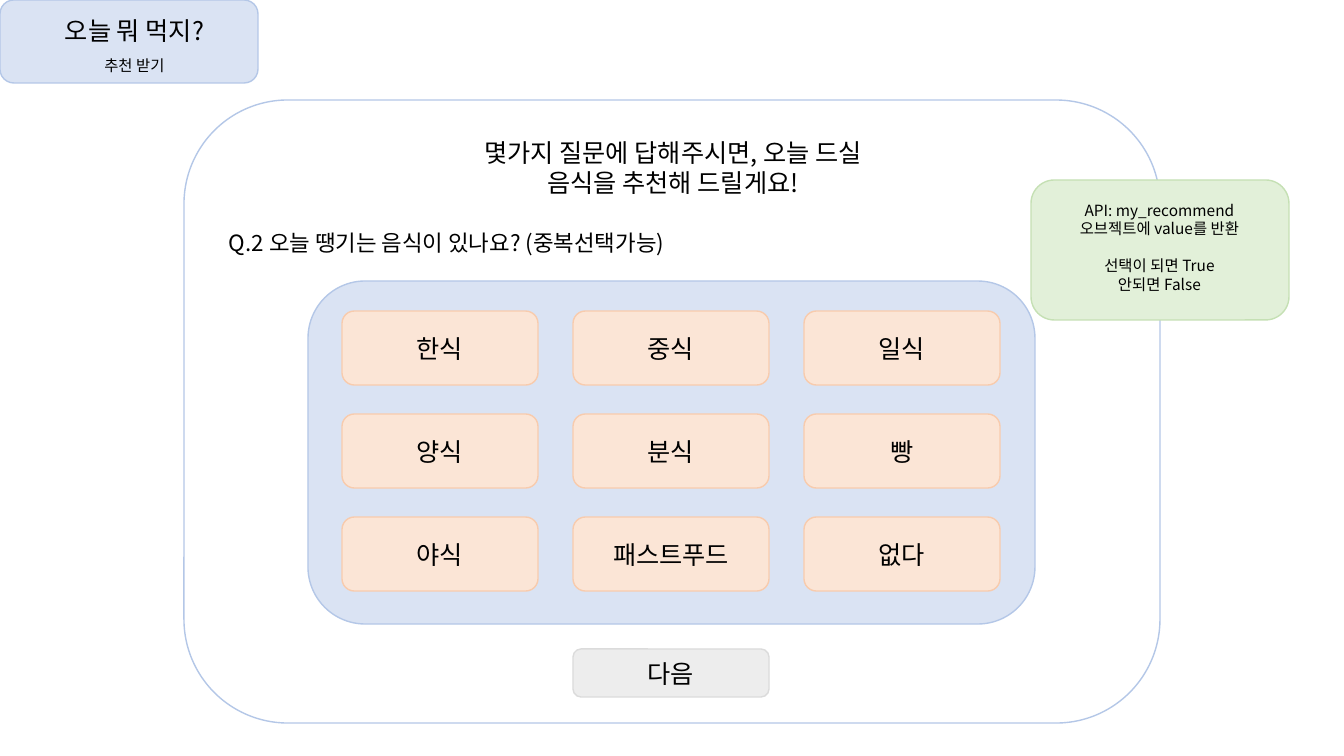
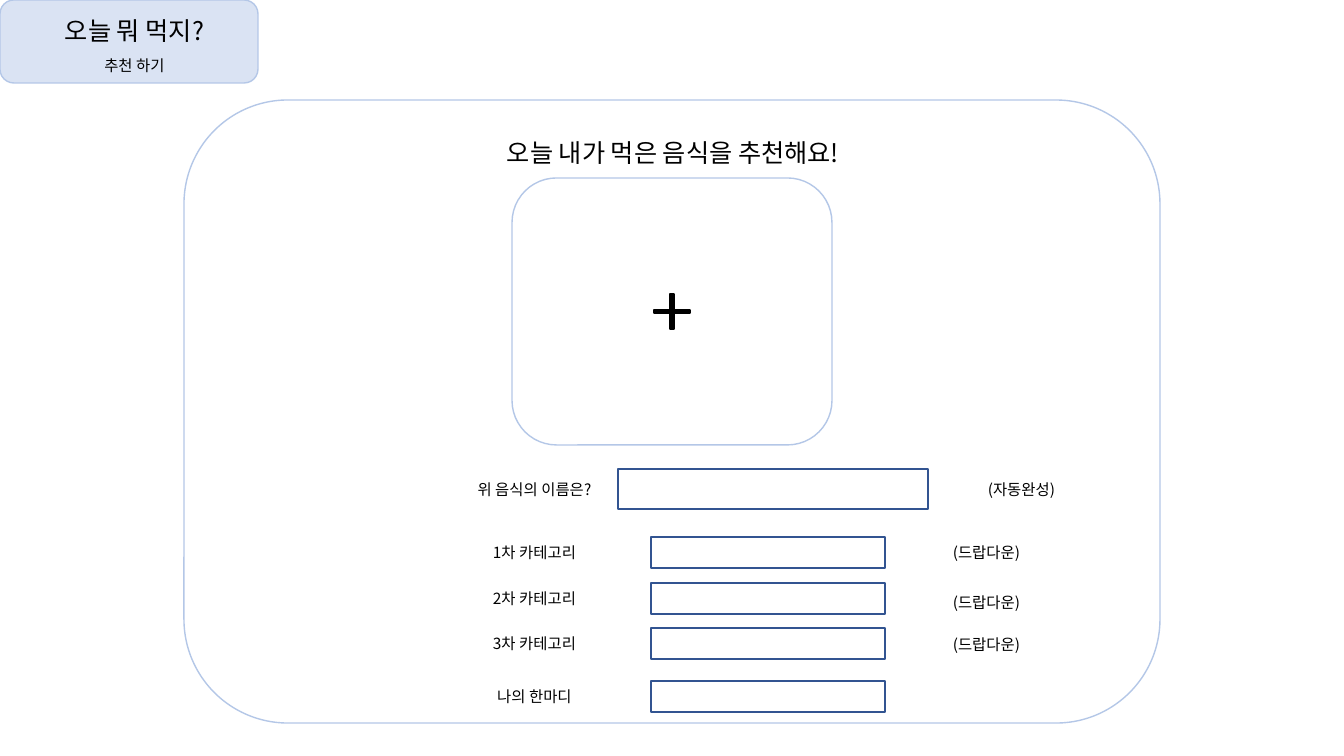
from pptx import Presentation
from pptx.dml.color import RGBColor
from pptx.enum.shapes import MSO_SHAPE
from pptx.enum.text import MSO_ANCHOR, PP_ALIGN
from pptx.util import Pt
from lxml import etree

ROUND, RECT, PLUS = MSO_SHAPE.ROUNDED_RECTANGLE, MSO_SHAPE.RECTANGLE, MSO_SHAPE.CROSS
LEFT, CENTER = PP_ALIGN.LEFT, PP_ALIGN.CENTER
MIDDLE, TOP = MSO_ANCHOR.MIDDLE, MSO_ANCHOR.TOP
FONT = "Noto Sans CJK KR"
DRAWING = "http://schemas.openxmlformats.org/drawingml/2006/main"
EMU_PER_PIXEL = 914400 / 100.8

BLACK, WHITE = "000000", "FFFFFF"
BLUE, BLUE_LINE = "DAE3F3", "B4C7E7"
PEACH, PEACH_LINE = "FBE5D6", "F8CBAD"
GRAY, GRAY_LINE = "EDEDED", "DBDBDB"
GREEN, GREEN_LINE = "E2F0D9", "C5E0B4"
FIELD_LINE = "325491"


def draw(slide, kind, box, fill=WHITE, line=BLUE_LINE):
    """Add a preset shape at a pixel box, or a text box when kind is None."""
    lengths = [round(value * EMU_PER_PIXEL) for value in box]
    if kind is None:
        return slide.shapes.add_textbox(*lengths)
    shape = slide.shapes.add_shape(kind, *lengths)
    shape.shadow.inherit = False
    shape.fill.solid()
    shape.fill.fore_color.rgb = RGBColor.from_string(fill)
    shape.line.color.rgb = RGBColor.from_string(line)
    shape.line.width = Pt(1)
    return shape


def write(shape, text, size=11, align=CENTER, anchor=TOP, gap_before=None):
    """Fill a shape with one paragraph per line; gap_before is a line index."""
    frame = shape.text_frame
    frame.word_wrap = True
    frame.vertical_anchor = anchor
    for index, line in enumerate(text.split("\n")):
        paragraph = frame.add_paragraph() if index else frame.paragraphs[0]
        paragraph.alignment = align
        paragraph.line_spacing = Pt(size * 1.2)
        if index == gap_before:
            paragraph.space_before = Pt(size * 1.2)
        run = paragraph.add_run()
        run.text = line
        run.font.size = Pt(size)
        run.font.name = FONT
        run.font.color.rgb = RGBColor.from_string(BLACK)
        east_asian = etree.SubElement(run.font._element, f"{{{DRAWING}}}ea")
        east_asian.set("typeface", FONT)


presentation = Presentation()
presentation.slide_width = round(1344 * EMU_PER_PIXEL)
presentation.slide_height = round(756 * EMU_PER_PIXEL)

# Shared frame: title tab, main panel and heading
pages = [
    ("추천 받기", "몇가지 질문에 답해주시면, 오늘 드실 음식을 추천해 드릴게요!", 72),
    ("추천 하기", "오늘 내가 먹은 음식을 추천해요!", 40),
]
slides = []
for subtitle, heading, heading_height in pages:
    slide = presentation.slides.add_slide(presentation.slide_layouts[6])
    draw(slide, ROUND, (0, 0, 258, 83), BLUE)
    write(draw(slide, None, (41, 10, 187, 40)), "오늘 뭐 먹지?", size=18)
    write(draw(slide, None, (41, 51, 187, 29)), subtitle)
    draw(slide, ROUND, (184, 100, 976, 623))
    write(draw(slide, None, (452, 132, 442, heading_height)), heading, size=18)
    slides.append(slide)
question_slide, review_slide = slides

# Slide 1: food choices
draw(question_slide, ROUND, (308, 281, 727, 343), BLUE)
write(draw(question_slide, None, (219, 224, 658, 37)),
      "Q.2 오늘 땡기는 음식이 있나요? (중복선택가능)", size=16, align=LEFT)
foods = ["한식", "중식", "일식", "양식", "분식", "빵", "야식", "패스트푸드", "없다"]
for index, food in enumerate(foods):
    row, column = divmod(index, 3)
    button = draw(question_slide, ROUND, (342 + 231 * column, 311 + 103 * row, 196, 74),
                  PEACH, PEACH_LINE)
    write(button, food, size=18, anchor=MIDDLE)
next_button = draw(question_slide, ROUND, (573, 649, 196, 48), GRAY, GRAY_LINE)
write(next_button, "다음", size=18, anchor=MIDDLE)
draw(question_slide, ROUND, (1031, 180, 258, 140), GREEN, GREEN_LINE)
write(draw(question_slide, None, (1066, 196, 187, 104)),
      "API: my_recommend 오브젝트에 value를 반환\n선택이 되면 True\n안되면 False",
      gap_before=1)

# Slide 2: photo area and entry form
draw(review_slide, ROUND, (512, 178, 320, 267))
plus = draw(review_slide, PLUS, (654, 294, 36, 35), BLACK, BLACK)
plus.adjustments[0] = 0.46
dropdown = "(드랍다운)"
form_rows = [  # label, label top, field box, hint, hint left and top
    ("위 음식의 이름은?", 475, (618, 469, 310, 40), "(자동완성)", 928, 475),
    ("1차 카테고리", 538, (651, 537, 234, 31), dropdown, 893, 538),
    ("2차 카테고리", 584, (651, 583, 234, 31), dropdown, 893, 588),
    ("3차 카테고리", 629, (651, 628, 234, 31), dropdown, 893, 630),
    ("나의 한마디", 682, (651, 681, 234, 31), None, 0, 0),
]
for label, label_top, field_box, hint, hint_left, hint_top in form_rows:
    draw(review_slide, RECT, field_box, WHITE, FIELD_LINE)
    write(draw(review_slide, None, (441, label_top, 187, 29)), label)
    if hint:
        write(draw(review_slide, None, (hint_left, hint_top, 187, 29)), hint)

presentation.save("out.pptx")
